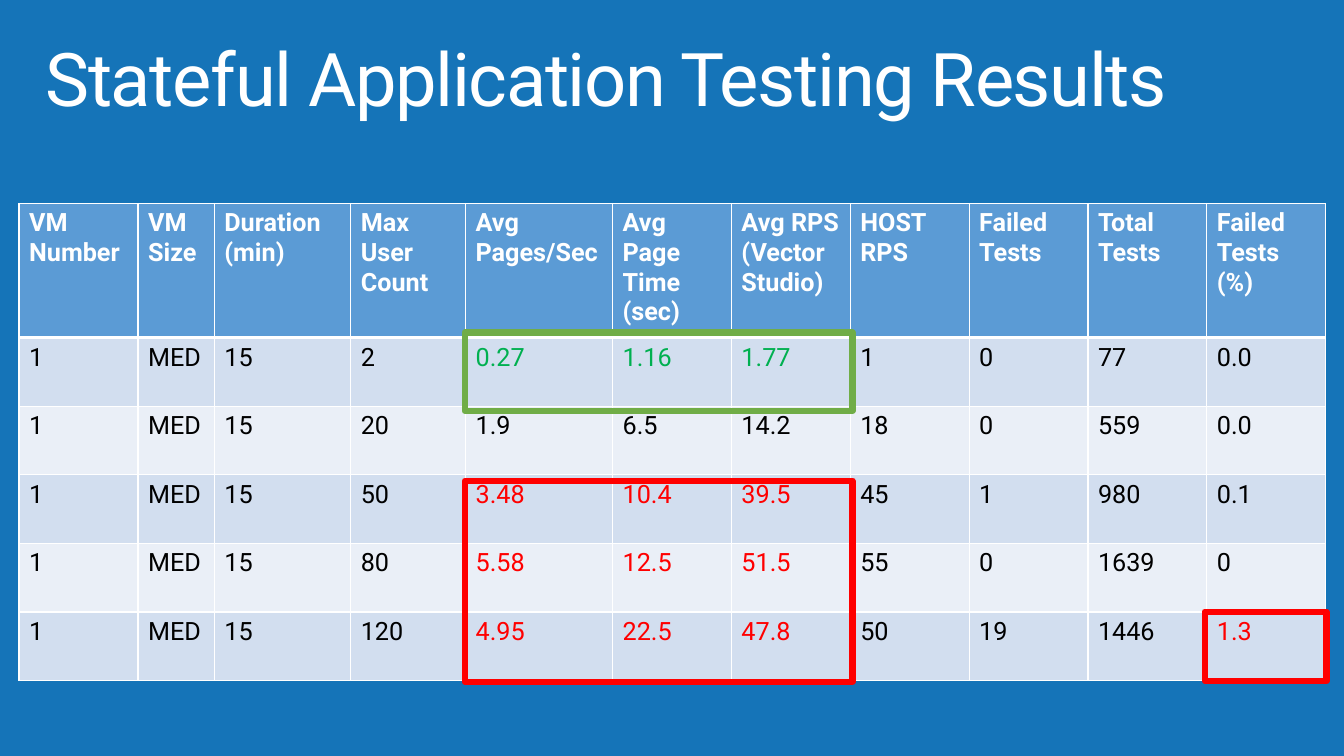
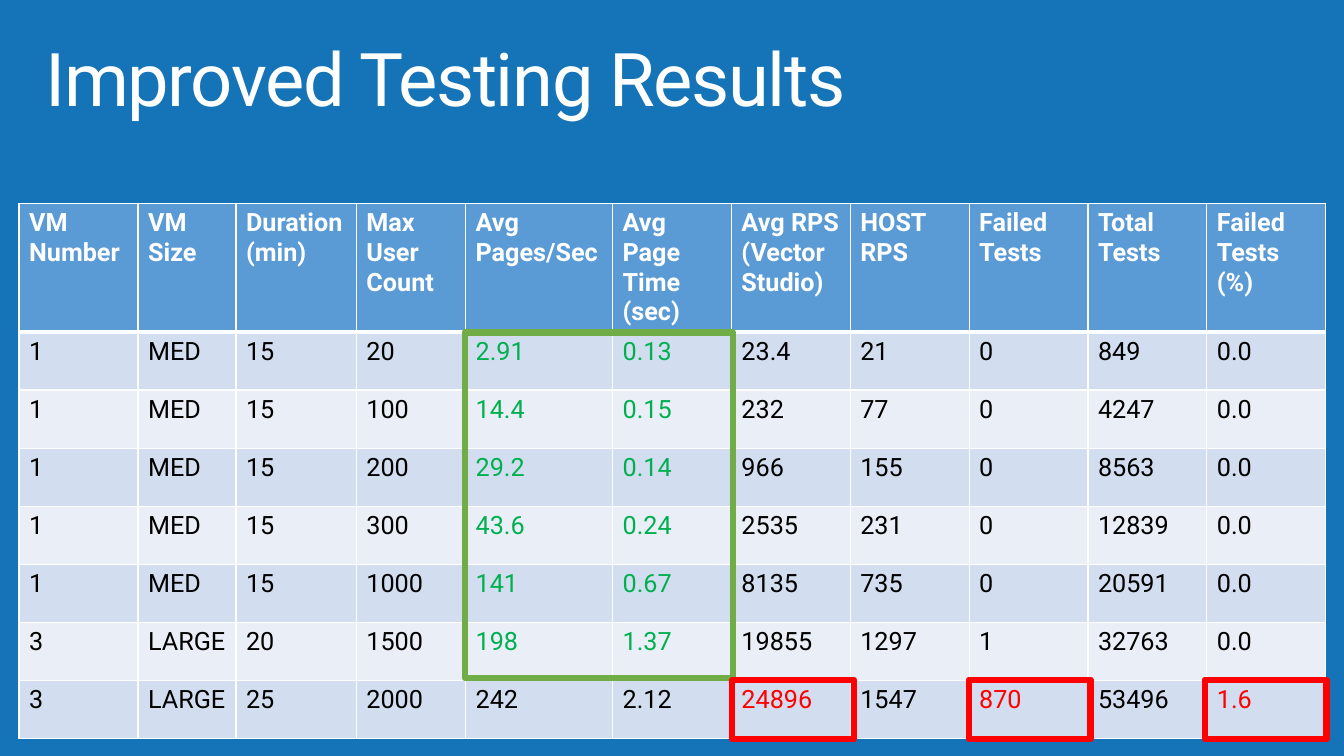
import pptx
import pptx.util
import pptx.dml.color
import pptx.enum.shapes
import pptx.enum.text
import pptx.oxml
import pptx.oxml.ns

Pt = pptx.util.Pt

FONT = "Roboto"
BLUE, WHITE, BLACK = "1574B8", "FFFFFF", "000000"
HEAD, BANDS = "5B9BD5", ("D2DEEF", "EAEFF7")
# Each tone: text colour, frame colour
TONES = {"good": ("00B050", "70AD47"), "bad": ("FF0000", "FF0000")}

TITLE = (21, 23, 909, 70.5)
LEFT, TOP = 13.6, 145.4
WIDE = 84.9  # each of the last six columns

HEADS = ["VM Number", "VM Size", "Duration (min)", "Max User Count",
         "Avg Pages/Sec", "Avg Page Time (sec)", "Avg RPS (Vector Studio)",
         "HOST RPS", "Failed Tests", "Total Tests", "Failed Tests (%)"]

# Each mark: tone, rows, columns, frame (left, top, width, height)
SLIDES = [
    {
        "title": "Stateful Application Testing Results",
        "cols": [85, 54.5, 97.5, 82, 105],
        "high": (95.8, 49),
        "rows": [
            "1 MED 15 2 0.27 1.16 1.77 1 0 77 0.0",
            "1 MED 15 20 1.9 6.5 14.2 18 0 559 0.0",
            "1 MED 15 50 3.48 10.4 39.5 45 1 980 0.1",
            "1 MED 15 80 5.58 12.5 51.5 55 0 1639 0",
            "1 MED 15 120 4.95 22.5 47.8 50 19 1446 1.3",
        ],
        "marks": [
            ("good", range(1, 2), range(4, 7), (332, 237.5, 277, 56)),
            ("bad", range(3, 6), range(4, 7), (332, 343.5, 277, 143.5)),
            ("bad", range(5, 6), range(10, 11), (860.5, 437, 87, 49.5)),
        ],
    },
    {
        "title": "Improved Testing Results",
        "cols": [85, 70, 86, 78, 105],
        "high": (91.5, 41.5),
        "rows": [
            "1 MED 15 20 2.91 0.13 23.4 21 0 849 0.0",
            "1 MED 15 100 14.4 0.15 232 77 0 4247 0.0",
            "1 MED 15 200 29.2 0.14 966 155 0 8563 0.0",
            "1 MED 15 300 43.6 0.24 2535 231 0 12839 0.0",
            "1 MED 15 1000 141 0.67 8135 735 0 20591 0.0",
            "3 LARGE 20 1500 198 1.37 19855 1297 1 32763 0.0",
            "3 LARGE 25 2000 242 2.12 24896 1547 870 53496 1.6",
        ],
        "marks": [("good", range(1, 7), range(4, 6), (332, 237.5, 191.5, 247))] + [
            ("bad", range(7, 8), range(col, col + 1), (left, 485.5, 87, 42.5))
            for col, left in ((6, 523), (8, 692), (10, 860.5))
        ],
    },
]


def rgb(code):
    return pptx.dml.color.RGBColor.from_string(code)


def apply(item, form):
    for name, value in form.items():
        setattr(item, name, value)


def paint(fill, code):
    fill.solid()
    fill.fore_color.rgb = rgb(code)


def style(run, size, code, bold=False):
    apply(run.font, {"name": FONT, "size": Pt(size), "bold": bold})
    run.font.color.rgb = rgb(code)


def edge(cell, row):
    """Draw white cell borders, thicker under the header row."""
    thick = {"L": 1, "R": 1, "T": 3 if row == 1 else 1, "B": 3 if row == 0 else 1}
    props = cell._tc.get_or_add_tcPr()
    for side, width in thick.items():
        props.append(pptx.oxml.parse_xml(
            f'<a:ln{side} {pptx.oxml.ns.nsdecls("a")} w="{Pt(width)}">'
            f'<a:solidFill><a:srgbClr val="{WHITE}"/></a:solidFill></a:ln{side}>'))


def head(slide, text):
    title = slide.shapes.title
    apply(title, dict(zip(("left", "top", "width", "height"), map(Pt, TITLE))))
    frame = title.text_frame
    apply(frame, {
        "text": text, "word_wrap": True,
        "auto_size": pptx.enum.text.MSO_AUTO_SIZE.NONE,
        "vertical_anchor": pptx.enum.text.MSO_ANCHOR.TOP,
        "margin_left": Pt(11.5), "margin_right": Pt(11.5),
        "margin_top": Pt(7.2), "margin_bottom": Pt(7.2),
    })
    para = frame.paragraphs[0]
    apply(para, {"alignment": pptx.enum.text.PP_ALIGN.LEFT, "line_spacing": 0.9})
    run = para.runs[0]
    style(run, 52.9, WHITE)
    run.font._element.set("spc", "-100")


def grid(slide, data):
    cells = [HEADS] + [row.split() for row in data["rows"]]
    cols = data["cols"] + [WIDE] * (len(HEADS) - len(data["cols"]))
    first, other = data["high"]
    highs = [first] + [other] * len(data["rows"])
    tints = {(r, c): TONES[tone][0]
             for tone, rows, span, _ in data["marks"] for r in rows for c in span}
    table = slide.shapes.add_table(len(cells), len(cols), Pt(LEFT), Pt(TOP),
                                   Pt(sum(cols)), Pt(sum(highs))).table
    for col, width in zip(table.columns, cols):
        col.width = Pt(width)
    for row, high in zip(table.rows, highs):
        row.height = Pt(high)
    for r, texts in enumerate(cells):
        for c, text in enumerate(texts):
            cell = table.cell(r, c)
            cell.text = text
            edge(cell, r)
            paint(cell.fill, BANDS[(r - 1) % 2] if r else HEAD)
            code = tints.get((r, c), BLACK) if r else WHITE
            style(cell.text_frame.paragraphs[0].runs[0], 18, code, r == 0)


def mark(slide, tone, place):
    box = slide.shapes.add_shape(pptx.enum.shapes.MSO_SHAPE.RECTANGLE, *map(Pt, place))
    box.shadow.inherit = False
    box.fill.background()
    box.line.color.rgb = rgb(TONES[tone][1])
    box.line.width = Pt(4.5)


def main():
    deck = pptx.Presentation()
    apply(deck, {"slide_width": Pt(960), "slide_height": Pt(540)})
    paint(deck.slide_master.background.fill, BLUE)
    for data in SLIDES:
        slide = deck.slides.add_slide(deck.slide_layouts[5])
        head(slide, data["title"])
        grid(slide, data)
        for tone, _, _, place in data["marks"]:
            mark(slide, tone, place)
    deck.save("out.pptx")


if __name__ == "__main__":
    main()
